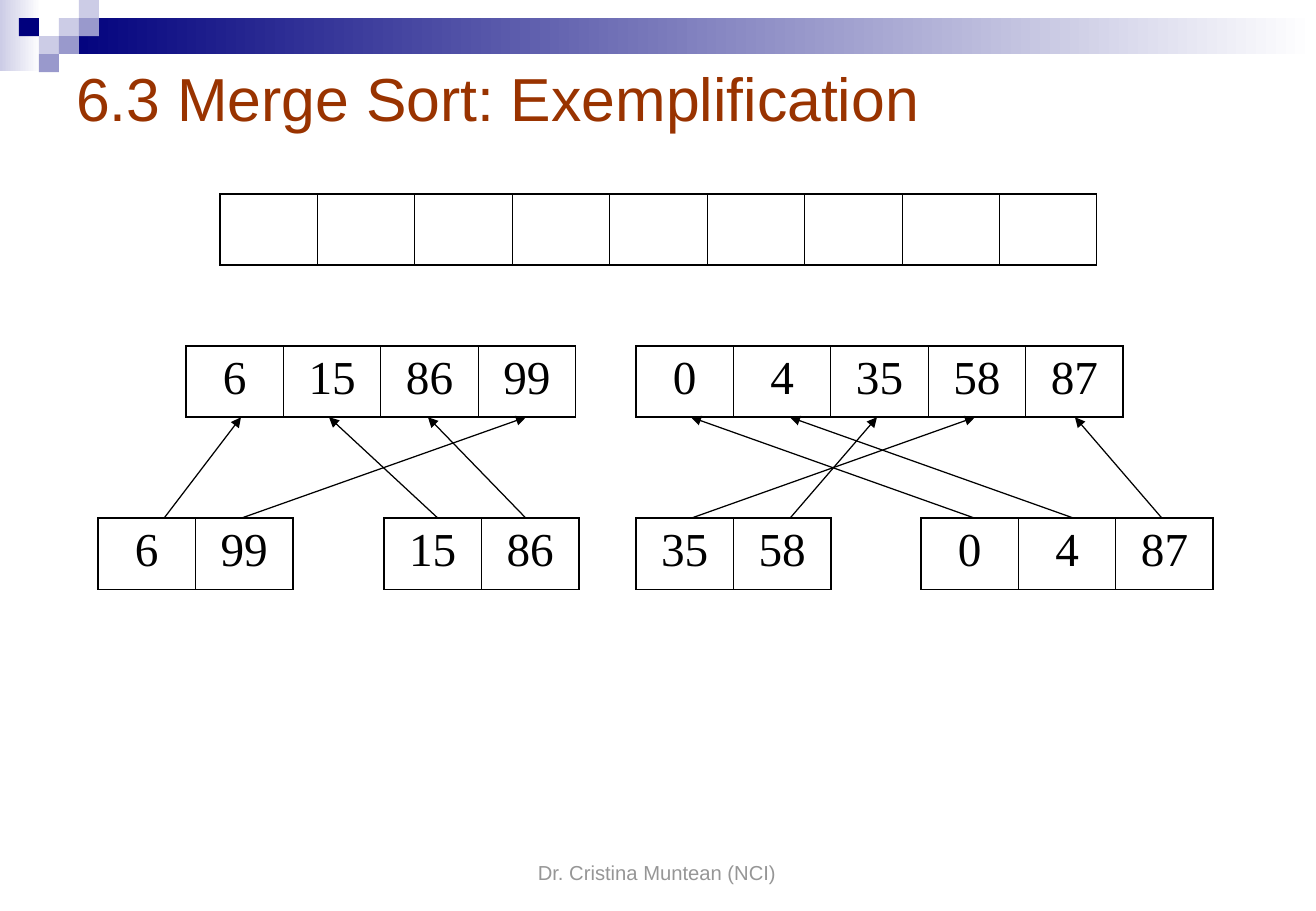
from lxml import etree
from pptx import Presentation
from pptx.dml.color import RGBColor
from pptx.enum.shapes import MSO_CONNECTOR, MSO_SHAPE
from pptx.enum.text import MSO_ANCHOR, MSO_AUTO_SIZE, PP_ALIGN
from pptx.oxml.ns import qn
from pptx.util import Emu, Inches, Pt

RECTANGLE = MSO_SHAPE.RECTANGLE
STRAIGHT = MSO_CONNECTOR.STRAIGHT
LEFT, CENTER = PP_ALIGN.LEFT, PP_ALIGN.CENTER
MIDDLE, BOTTOM = MSO_ANCHOR.MIDDLE, MSO_ANCHOR.BOTTOM

NAVY = RGBColor(0x00, 0x00, 0x7D)
LAVENDER = RGBColor(0xCC, 0xCC, 0xE6)
PERIWINKLE = RGBColor(0x99, 0x99, 0xCC)
WHITE = RGBColor(0xFF, 0xFF, 0xFF)
BLACK = RGBColor(0x00, 0x00, 0x00)
RUST = RGBColor(0x99, 0x33, 0x00)
GRAY = RGBColor(0x96, 0x96, 0x96)

TITLE = "6.3 Merge Sort: Exemplification"
FOOTER = "Dr. Cristina Muntean (NCI)"
BANDS = [
    ((0, 0, 41, 71), LAVENDER),
    ((59, 18, 1256, 36), NAVY),
]
MOSAIC = [
    (2, 1, LAVENDER), (3, 0, LAVENDER), (3, 1, PERIWINKLE), (1, 2, LAVENDER),
    (0, 1, NAVY), (2, 2, PERIWINKLE), (1, 3, PERIWINKLE),
]
MERGED_TOP, HALVES_TOP, QUARTERS_TOP = 194, 346, 518
ARRAYS = [
    (220, MERGED_TOP, [""] * 9),
    (186, HALVES_TOP, ["6", "15", "86", "99"]),
    (636, HALVES_TOP, ["0", "4", "35", "58", "87"]),
    (384, QUARTERS_TOP, ["15", "86"]),
    (98, QUARTERS_TOP, ["6", "99"]),
    (636, QUARTERS_TOP, ["35", "58"]),
    (921, QUARTERS_TOP, ["0", "4", "87"]),
]
MOVES = [
    (164, 241), (438, 329), (241, 526), (526, 428), (691, 975),
    (975, 691), (1074, 790), (790, 877), (1162, 1075),
]
MOSAIC_LEFT, TILE_WIDTH, TILE_HEIGHT = 19, 20, 18
CELL_WIDTH = 877 / 9
CELL_HEIGHT = 71
OUTER_LINE, INNER_LINE = Pt(1.08), Pt(0.45)


def px(value):
    return Emu(round(value * 914400 / 121.4))


def place(shape, box):
    shape.left, shape.top, shape.width, shape.height = map(px, box)


def write(frame, text, font, size, color, alignment):
    paragraph = frame.paragraphs[0]
    paragraph.alignment = alignment
    run = paragraph.add_run()
    run.text = text
    run.font.name = font
    run.font.size = Pt(size)
    run.font.color.rgb = color


def prepare(frame, anchor):
    frame.word_wrap = True
    frame.auto_size = MSO_AUTO_SIZE.NONE
    frame.vertical_anchor = anchor


def add_rectangle(slide, box, color, fade=False):
    shape = slide.shapes.add_shape(RECTANGLE, *map(px, box))
    shape.shadow.inherit = False
    shape.line.fill.background()
    if fade:
        shape.fill.gradient()
        shape.fill.gradient_angle = 0
        for stop, position, tint in zip(shape.fill.gradient_stops, (0, 1), (color, WHITE)):
            stop.position = position
            stop.color.rgb = tint
    else:
        shape.fill.solid()
        shape.fill.fore_color.rgb = color


def add_border(cell, side, width):
    properties = cell._tc.get_or_add_tcPr()
    line = etree.SubElement(properties, qn("a:ln" + side), w=str(width))
    fill = etree.SubElement(line, qn("a:solidFill"))
    etree.SubElement(fill, qn("a:srgbClr"), val=str(BLACK))


def add_array(slide, left, top, values):
    count = len(values)
    box = (left, top, CELL_WIDTH * count, CELL_HEIGHT)
    table = slide.shapes.add_table(1, count, *map(px, box)).table
    table.first_row = table.horz_banding = False
    for index, value in enumerate(values):
        table.columns[index].width = px(CELL_WIDTH)
        cell = table.cell(0, index)
        add_border(cell, "L", OUTER_LINE if index == 0 else INNER_LINE)
        add_border(cell, "R", OUTER_LINE if index == count - 1 else INNER_LINE)
        add_border(cell, "T", OUTER_LINE)
        add_border(cell, "B", OUTER_LINE)
        cell.fill.background()
        if value:
            write(cell.text_frame, value, "Times New Roman", 28, BLACK, CENTER)


def add_arrow(slide, start, end):
    arrow = slide.shapes.add_connector(
        STRAIGHT, px(start), px(QUARTERS_TOP), px(end), px(HALVES_TOP + CELL_HEIGHT))
    arrow.line.color.rgb = BLACK
    arrow.line.width = Pt(0.74)
    etree.SubElement(arrow.line._get_or_add_ln(), qn("a:tailEnd"), type="triangle")
    etree.SubElement(arrow._element.spPr, qn("a:effectLst"))


presentation = Presentation()
presentation.slide_width, presentation.slide_height = Inches(10.84), Inches(7.5)
slide = presentation.slides.add_slide(presentation.slide_layouts[5])

for box, color in BANDS:
    add_rectangle(slide, box, color, fade=True)
for column, row, color in MOSAIC:
    box = (MOSAIC_LEFT + column * TILE_WIDTH, row * TILE_HEIGHT, TILE_WIDTH, TILE_HEIGHT)
    add_rectangle(slide, box, color)
for array in ARRAYS:
    add_array(slide, *array)
for move in MOVES:
    add_arrow(slide, *move)

title = slide.shapes.title
place(title, (64, 44, 1184, 106))
prepare(title.text_frame, MIDDLE)
write(title.text_frame, TITLE, "Arial", 36, RUST, LEFT)

footer = slide.shapes.add_textbox(*map(px, (449, 829, 416, 61)))
prepare(footer.text_frame, BOTTOM)
write(footer.text_frame, FOOTER, "Arial", 12, GRAY, CENTER)

presentation.save("out.pptx")
